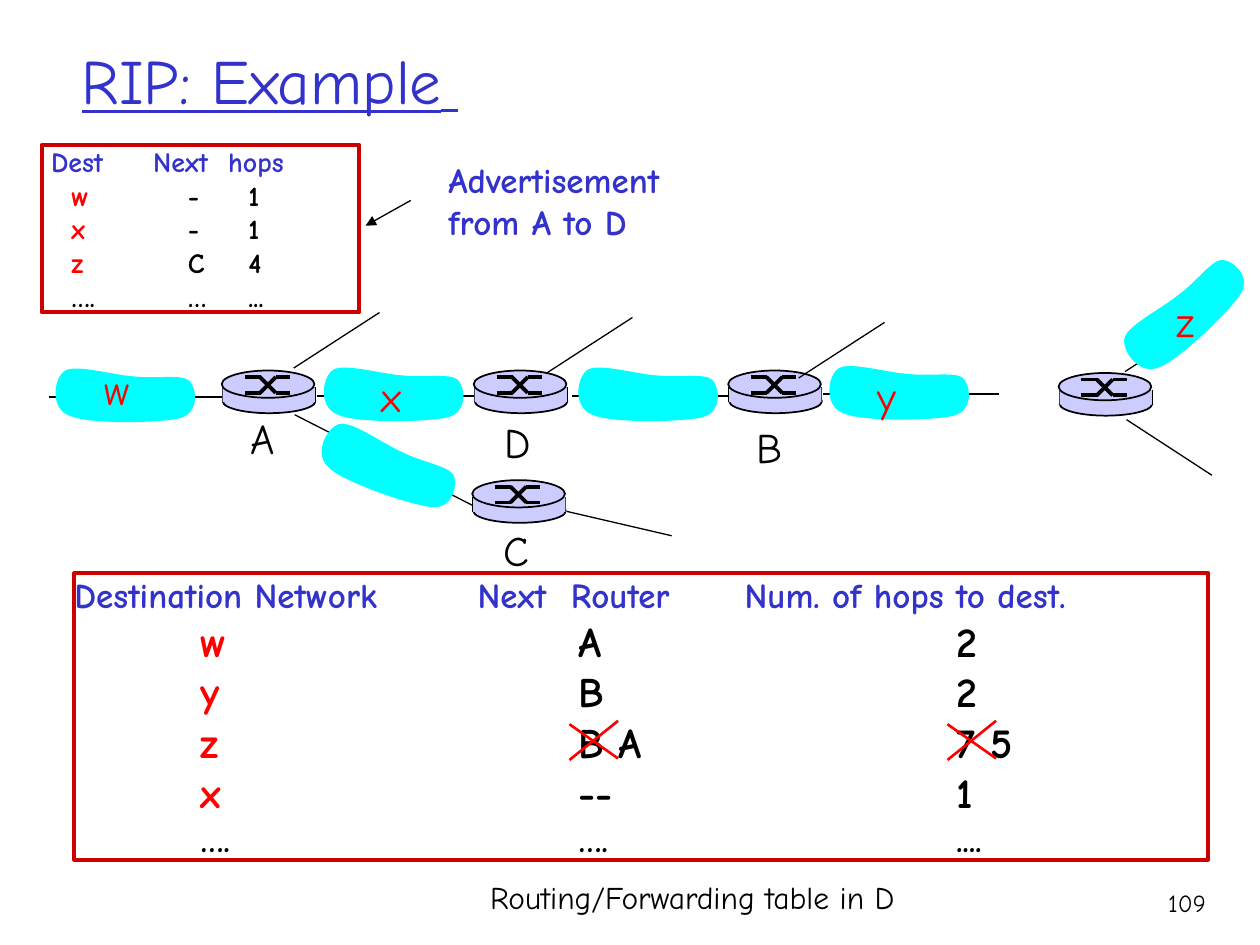
from pptx import Presentation
from pptx.dml.color import RGBColor
from pptx.enum.shapes import MSO_CONNECTOR, MSO_SHAPE
from pptx.enum.text import MSO_ANCHOR, PP_ALIGN
from pptx.oxml.ns import qn
from pptx.util import Cm, Pt
from lxml import etree

STRAIGHT = MSO_CONNECTOR.STRAIGHT
OVAL, RECTANGLE = MSO_SHAPE.OVAL, MSO_SHAPE.RECTANGLE
TOP, MIDDLE = MSO_ANCHOR.TOP, MSO_ANCHOR.MIDDLE
LEFT, RIGHT = PP_ALIGN.LEFT, PP_ALIGN.RIGHT

FONT = "Comic Neue"
BLACK = RGBColor(0x00, 0x00, 0x00)
BLUE = RGBColor(0x33, 0x33, 0xCC)
RED = RGBColor(0xFF, 0x00, 0x00)
FRAME_RED = RGBColor(0xCC, 0x00, 0x00)
CYAN = RGBColor(0x00, 0xFF, 0xFF)
LAVENDER = RGBColor(0xCC, 0xCC, 0xFF)

CLOUD_START = (1.73, 0.25)
CLOUD_CURVES = [
    (1.32, 0.23), (0.56, 0), (0.33, 0.13),
    (0.10, 0.25), (0, 0.89), (0.41, 1.04),
    (0.79, 1.22), (2.24, 1.19), (2.64, 1.09),
    (3.05, 0.97), (2.97, 0.46), (2.82, 0.33),
    (2.67, 0.20), (2.13, 0.30), CLOUD_START,
]


def add_line(slide, x1, y1, x2, y2, color=BLACK, width=0.75, arrow=False):
    line = slide.shapes.add_connector(STRAIGHT, Cm(x1), Cm(y1), Cm(x2), Cm(y2))
    line.line.color.rgb = color
    line.line.width = Pt(width)
    if arrow:
        outline = line.line._get_or_add_ln()
        etree.SubElement(outline, qn("a:tailEnd"), type="triangle")
    etree.SubElement(line._element.spPr, qn("a:effectLst"))


def add_link(slide, x, y, length):
    builder = slide.shapes.build_freeform(Cm(x), Cm(y))
    builder.add_line_segments([(Cm(x + length), Cm(y))], close=False)
    link = builder.convert_to_shape()
    link.shadow.inherit = False
    link.fill.background()
    link.line.color.rgb = BLACK
    link.line.width = Pt(1)


def add_solid(slide, kind, left, top, width, height, outlined=True):
    solid = slide.shapes.add_shape(kind, Cm(left), Cm(top), Cm(width), Cm(height))
    solid.shadow.inherit = False
    solid.fill.solid()
    solid.fill.fore_color.rgb = LAVENDER
    if outlined:
        solid.line.color.rgb = BLACK
        solid.line.width = Pt(1)
    else:
        solid.line.fill.background()


def add_router(slide, left, top):
    add_solid(slide, OVAL, left + 0.02, top + 0.38, 1.87, 0.48)
    for side in (left + 0.02, left + 1.88):
        add_line(slide, side, top + 0.34, side, top + 0.64, width=1)
    add_solid(slide, RECTANGLE, left + 0.02, top + 0.34, 1.86, 0.3, outlined=False)
    add_solid(slide, OVAL, left, top, 1.87, 0.55)
    start, cross_start, cross_end, end = (left + x for x in (0.46, 0.77, 1.09, 1.37))
    upper, lower = top + 0.13, top + 0.45
    for entry, leave in ((upper, lower), (lower, upper)):
        add_line(slide, start, entry, cross_start + 0.02, entry, width=2.25)
        add_line(slide, cross_start, entry, cross_end, leave, width=2.25)
        add_line(slide, cross_end, leave, end, leave, width=2.25)


def curve_outline(shape):
    corners = list(shape._element.iter(qn("a:lnTo")))
    for first in range(0, len(corners), 3):
        curve = etree.Element(qn("a:cubicBezTo"))
        corners[first].addprevious(curve)
        for corner in corners[first:first + 3]:
            curve.append(corner[0])
            corner.getparent().remove(corner)


def add_cloud(slide, left, top, angle=0):
    start, *points = [(Cm(left + x), Cm(top + y)) for x, y in [CLOUD_START] + CLOUD_CURVES]
    builder = slide.shapes.build_freeform(*start)
    builder.add_line_segments(points, close=True)
    cloud = builder.convert_to_shape()
    curve_outline(cloud)
    cloud.shadow.inherit = False
    cloud.fill.solid()
    cloud.fill.fore_color.rgb = CYAN
    cloud.line.fill.background()
    cloud.rotation = angle


def set_tabs(paragraph, stops):
    tab_list = etree.Element(qn("a:tabLst"))
    for stop in stops:
        etree.SubElement(tab_list, qn("a:tab"), pos=str(Cm(stop)), algn="l")
    paragraph._p.get_or_add_pPr().insert(0, tab_list)


def style_paragraph(paragraph, size, color=None, bold=False):
    paragraph.font.name = FONT
    paragraph.font.size = Pt(size)
    paragraph.font.bold = bold
    if color is not None:
        paragraph.font.color.rgb = color


def add_text(slide, lines, left, top, width, height, size, color=BLACK,
             bold=False, wrap=False, align=LEFT, anchor=TOP):
    box = slide.shapes.add_textbox(Cm(left), Cm(top), Cm(width), Cm(height))
    frame = box.text_frame
    frame.word_wrap = wrap
    frame.vertical_anchor = anchor
    frame.text = "\n".join(lines)
    for paragraph in frame.paragraphs:
        style_paragraph(paragraph, size, color, bold)
        paragraph.alignment = align
    return frame.paragraphs[0]


def add_routes(slide, left, top, width, height, header, rows,
               header_tabs, row_tabs, header_size, row_size):
    panel = slide.shapes.add_shape(RECTANGLE, Cm(left), Cm(top), Cm(width), Cm(height))
    panel.shadow.inherit = False
    panel.fill.background()
    panel.line.color.rgb = FRAME_RED
    panel.line.width = Pt(2.25)
    frame = panel.text_frame
    frame.word_wrap = True
    frame.vertical_anchor = TOP
    frame.margin_left = frame.margin_right = frame.margin_top = frame.margin_bottom = 0

    heading = frame.paragraphs[0]
    heading.text = header
    heading.alignment = LEFT
    set_tabs(heading, header_tabs)
    style_paragraph(heading, header_size, BLUE, True)

    for destination, *route in rows:
        is_ellipsis = destination == "…."
        row = frame.add_paragraph()
        row.alignment = LEFT
        set_tabs(row, row_tabs)
        style_paragraph(row, header_size if is_ellipsis else row_size, bold=True)
        parts = (("\t" + destination, BLACK if is_ellipsis else RED),
                 ("\t" + "\t".join(route), BLACK))
        for text, color in parts:
            run = row.add_run()
            run.text = text
            run.font.color.rgb = color


def add_network(slide):
    for x, y in ((6.4, 7.98), (11.53, 7.98), (0.99, 8), (16.59, 7.95)):
        add_link(slide, x, y, 3.55)
    for left, top in ((9.55, 7.47), (4.47, 7.47), (9.52, 9.68), (14.68, 7.47), (21.34, 7.52)):
        add_router(slide, left, top)
    for x, y in ((5.92, 7.42), (11.02, 7.52), (16.1, 7.62), (22.68, 7.49)):
        add_line(slide, x, y, x + 1.73, y - 1.12)
    add_line(slide, 22.71, 8.46, 24.43, 9.58)
    add_line(slide, 5.94, 8.36, 9.53, 10.19)
    add_line(slide, 11.43, 10.31, 13.54, 10.8)

    add_cloud(slide, 6.3, 8.79, 19.7)
    for left, top in ((6.4, 7.32), (0.99, 7.34), (11.53, 7.32), (16.59, 7.29)):
        add_cloud(slide, left, top)
    add_cloud(slide, 22.35, 5.72, -43.2)

    for name, left, top, width in (
        ("w", 1.85, 7.21, 1.02), ("x", 7.44, 7.34, 0.91),
        ("y", 17.45, 7.34, 0.89), ("z", 23.47, 5.84, 0.86),
        ("A", 4.8, 8.2, 0.99), ("C", 9.91, 10.44, 1.02),
        ("D", 9.93, 8.28, 1.04), ("B", 15.01, 8.38, 1.02),
    ):
        add_text(slide, [name], left, top, width, 1.27, 24, RED if name.islower() else BLACK)


def main():
    deck = Presentation()
    deck.slide_width, deck.slide_height = Cm(25.4), Cm(19.05)
    slide = deck.slides.add_slide(deck.slide_layouts[6])

    title = add_text(slide, ["RIP: Example"], 1.4, 0, 21.59, 3.18, 36, BLUE,
                     wrap=True, anchor=MIDDLE)
    title.font.underline = True
    title_end = title.add_run()
    title_end.text = " "
    title_end.font.size = Pt(28)

    add_routes(slide, 1.5, 11.56, 22.86, 5.77,
               "Destination Network\tNext\tRouter\tNum. of hops to dest.",
               [("w", "A", "2"), ("y", "B", "2"), ("z", "B A", "7 5"),
                ("x", "--", "1"), ("….", "….", "....")],
               (8.13, 10.01, 13.51), (2.54, 10.16, 17.78), 20, 24)
    add_text(slide, ["Routing/Forwarding table in D"], 9.63, 17.58, 8.76, 1.02, 18)
    add_network(slide)
    add_routes(slide, 0.84, 2.92, 6.4, 3.38, "\tDest\tNext\thops",
               [("w", "-", "1"), ("x", "-", "1"), ("z", "C", "4"), ("….", "…", "...")],
               (0.19, 2.25, 3.76), (0.6, 2.95, 4.17), 16, 16)
    add_text(slide, ["Advertisement", "from A to D"], 8.79, 3.07, 4.78, 1.96, 20, BLUE, True)
    add_line(slide, 8.28, 4.04, 7.37, 4.55, arrow=True)
    for left, top in ((11.48, 14.56), (19.1, 14.56)):
        add_line(slide, left, top + 0.04, left + 0.98, top + 0.73, RED, 1.5)
        add_line(slide, left, top + 0.76, left + 0.98, top - 0.03, RED, 1.5)
    add_text(slide, ["109"], 22.68, 17.78, 1.88, 1.27, 14, wrap=True, align=RIGHT)

    deck.save("out.pptx")


if __name__ == "__main__":
    main()
